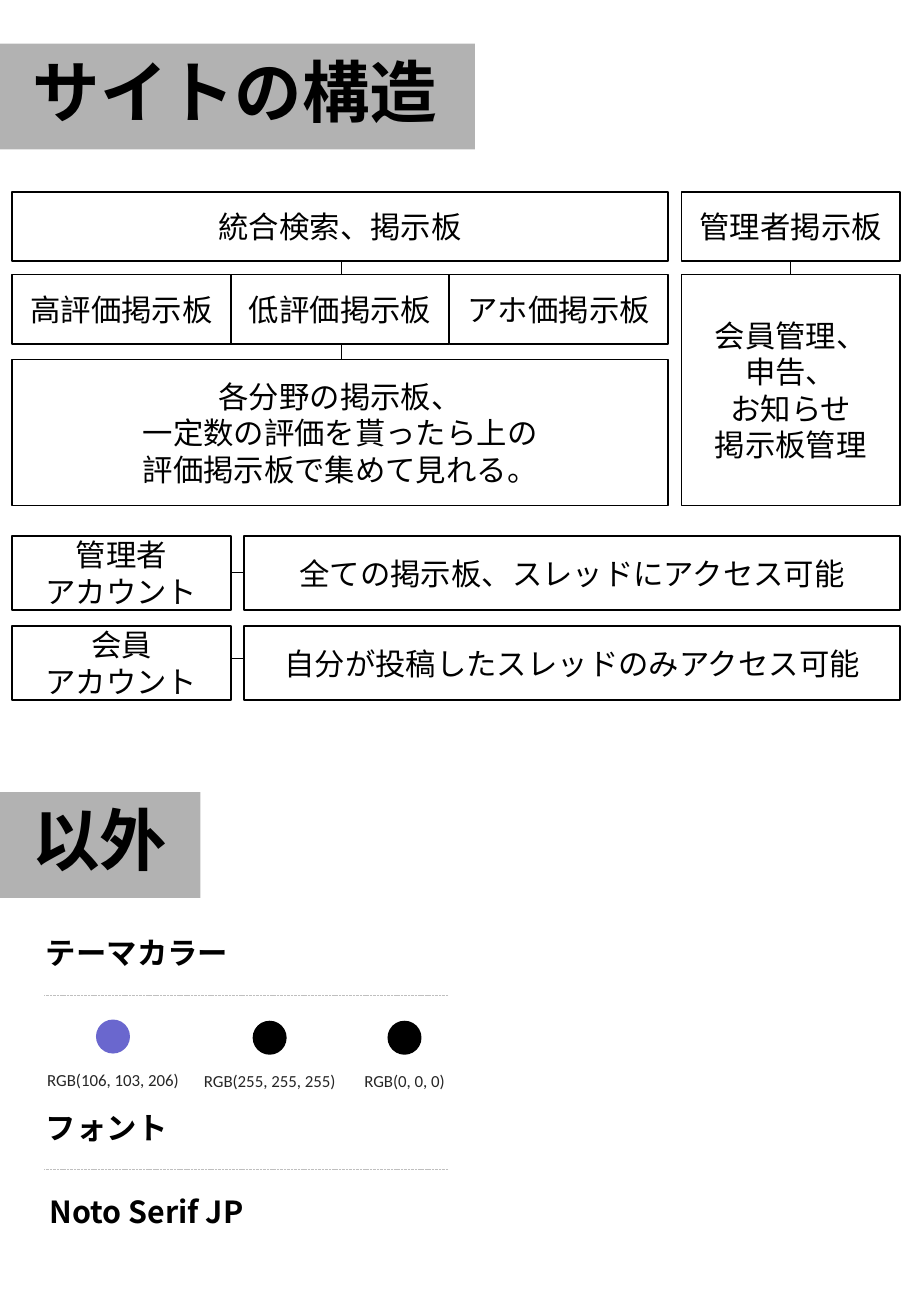
from dataclasses import dataclass

from lxml.etree import SubElement
from pptx import Presentation
from pptx.dml.color import RGBColor as RGB
from pptx.enum.dml import MSO_LINE
from pptx.enum.shapes import MSO_CONNECTOR, MSO_SHAPE
from pptx.enum.text import MSO_ANCHOR, MSO_AUTO_SIZE, PP_ALIGN
from pptx.oxml.ns import qn
from pptx.util import Inches, Pt


@dataclass(frozen=True)
class Theme:
    black: RGB = RGB(0, 0, 0)
    white: RGB = RGB(255, 255, 255)
    violet: RGB = RGB(106, 103, 206)
    rule: RGB = RGB(0xBF, 0xBF, 0xBF)
    caption: RGB = RGB(0x26, 0x26, 0x26)
    band_alpha: int = 30000
    latin: str = "Calibri"
    japanese: str = "Noto Sans CJK JP"
    title_size: int = 40
    body_size: int = 18
    caption_size: int = 10
    border: float = 1
    hairline: float = 0.5


THEME = Theme()
MARGIN, COLUMN, GAP = 0.1, 1.8, 0.11
BOARD_ROW, ACCOUNT_ROW = 0.57, 0.61
BOARD_TOP, RATING_TOP, FIELD_TOP, BOARD_BOTTOM = 1.58, 2.26, 2.96, 4.16
ACCOUNT_TOP, ACCOUNT_STEP = 4.41, 0.74
RULE_LEFT, RULE_RIGHT = 0.36, 3.69
SWATCH = 0.28


def column_left(column, gaps=0):
    return MARGIN + column * COLUMN + gaps * GAP


def style_text(frame, size, color=THEME.black, font=THEME.latin, bold=False, align=PP_ALIGN.LEFT):
    for para in frame.paragraphs:
        para.alignment = align
        for span in para.runs:
            span.font.size = Pt(size)
            span.font.name = font
            span.font.bold = bold
            span.font.color.rgb = color
            properties = span.font._element
            SubElement(properties, qn("a:ea"), typeface=THEME.japanese)


def add_filled(page, kind, left, top, width, height, color):
    shape = page.shapes.add_shape(kind, *map(Inches, (left, top, width, height)))
    shape.shadow.inherit = False
    shape.fill.solid()
    shape.fill.fore_color.rgb = color
    shape.line.fill.background()
    return shape


def add_label(page, text, left, top, width, height, wrap=True, **style):
    box = page.shapes.add_textbox(*map(Inches, (left, top, width, height)))
    frame = box.text_frame
    frame.word_wrap = wrap
    frame.auto_size = MSO_AUTO_SIZE.SHAPE_TO_FIT_TEXT
    frame.text = text
    style_text(frame, **style)


def add_title(page, text, top, text_width, band_width):
    """Place a large heading under a translucent band from the left edge."""
    add_label(page, text, 0.17, top, text_width, 0.77, wrap=False,
              size=THEME.title_size, font=THEME.japanese, bold=True)
    band = add_filled(page, MSO_SHAPE.RECTANGLE, 0, top, band_width, 0.87, THEME.black)
    color = band.fill._xPr.find(qn("a:solidFill"))[0]
    SubElement(color, qn("a:alpha"), val=str(THEME.band_alpha))


def add_subheading(page, text, left, top, width=1.75):
    add_label(page, text, left, top, width, 0.4,
              size=THEME.body_size, font=THEME.japanese, bold=True)


def add_box(page, text, left, top, columns, height, gaps=0):
    width = columns * COLUMN + gaps * GAP
    box = add_filled(page, MSO_SHAPE.RECTANGLE, left, top, width, height, THEME.white)
    box.line.color.rgb = THEME.black
    box.line.width = Pt(THEME.border)
    frame = box.text_frame
    frame.word_wrap = True
    frame.vertical_anchor = MSO_ANCHOR.MIDDLE
    frame.text = text
    style_text(frame, THEME.body_size, align=PP_ALIGN.CENTER)


def add_line(page, start, end, color=THEME.black, dash=None):
    line = page.shapes.add_connector(MSO_CONNECTOR.STRAIGHT, *map(Inches, (*start, *end)))
    line.line.color.rgb = color
    line.line.width = Pt(THEME.hairline)
    if dash is not None:
        line.line.dash_style = dash
    SubElement(line._element.spPr, qn("a:effectLst"))


def add_rule(page, top):
    add_line(page, (RULE_RIGHT, top), (RULE_LEFT, top), THEME.rule, MSO_LINE.SQUARE_DOT)


def add_boards(page):
    left, admin_left = column_left(0), column_left(3, gaps=1)
    for center in (2.81, admin_left + COLUMN / 2):
        add_line(page, (center, BOARD_TOP + 0.2), (center, BOARD_BOTTOM - 0.3))

    add_box(page, "統合検索、掲示板", left, BOARD_TOP, 3, BOARD_ROW)
    for column, name in enumerate(("高評価掲示板", "低評価掲示板", "アホ価掲示板")):
        add_box(page, name, column_left(column), RATING_TOP, 1, BOARD_ROW)
    add_box(page, "各分野の掲示板、\n一定数の評価を貰ったら上の\n評価掲示板で集めて見れる。",
            left, FIELD_TOP, 3, BOARD_BOTTOM - FIELD_TOP)

    add_box(page, "管理者掲示板", admin_left, BOARD_TOP, 1, BOARD_ROW)
    add_box(page, "会員管理、\n申告、\nお知らせ\n掲示板管理",
            admin_left, RATING_TOP, 1, BOARD_BOTTOM - RATING_TOP)


def add_accounts(page):
    accounts = (
        ("管理者\nアカウント", "全ての掲示板、スレッドにアクセス可能", 4.71),
        ("会員\nアカウント", "自分が投稿したスレッドのみアクセス可能", 5.42),
    )
    for row, (account, access, link) in enumerate(accounts):
        top = ACCOUNT_TOP + row * ACCOUNT_STEP
        add_line(page, (1.65, link), (2.53, link))
        add_box(page, account, column_left(0), top, 1, ACCOUNT_ROW)
        add_box(page, access, column_left(1, gaps=1), top, 3, ACCOUNT_ROW)


def add_swatch(page, text, center, top, color):
    add_filled(page, MSO_SHAPE.OVAL, center - SWATCH / 2, top, SWATCH, SWATCH, color)
    width = 1.29
    add_label(page, text, center - width / 2, top + 0.36, width, 0.27,
              size=THEME.caption_size, color=THEME.caption, align=PP_ALIGN.CENTER)


def add_style_guide(page):
    add_subheading(page, "テーマカラー", 0.28, 7.64)
    add_rule(page, 8.19)
    add_swatch(page, "RGB(106, 103, 206)", 0.93, 8.39, THEME.violet)
    add_swatch(page, "RGB(255, 255, 255)", 2.22, 8.4, THEME.black)
    add_swatch(page, "RGB(0, 0, 0)", 3.33, 8.4, THEME.black)
    add_subheading(page, "フォント", 0.28, 9.08)
    add_rule(page, 9.62)
    add_subheading(page, "Noto Serif JP", 0.31, 9.77, width=2.22)


def main():
    deck = Presentation()
    deck.slide_width, deck.slide_height = Inches(7.5), Inches(10.83)
    page = deck.slides.add_slide(deck.slide_layouts[6])
    add_title(page, "サイトの構造", 0.36, 3.58, 3.91)
    add_title(page, "以外", 6.52, 1.33, 1.65)
    add_boards(page)
    add_accounts(page)
    add_style_guide(page)
    deck.save("out.pptx")


if __name__ == "__main__":
    main()
